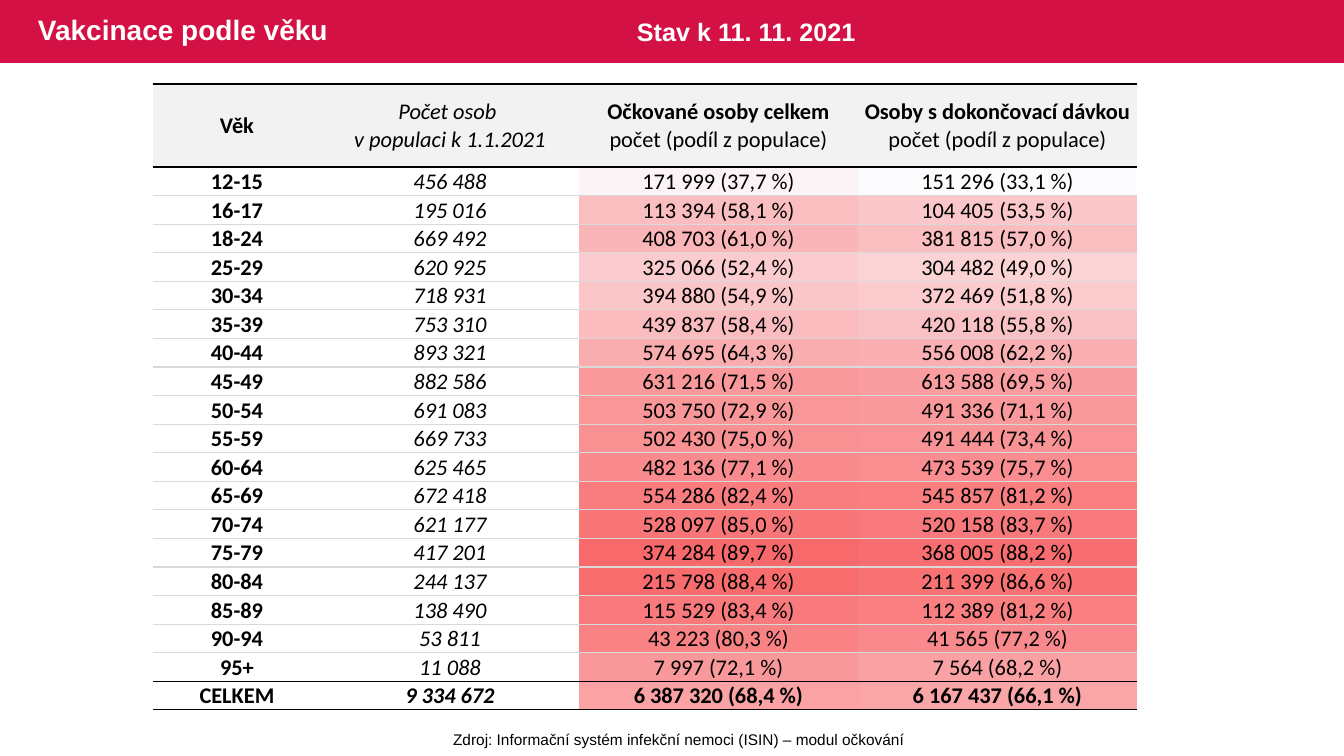
"""Build the slide with vaccination by age as a table over a shaded grid."""
from lxml.etree import SubElement
from pptx import Presentation
from pptx.dml.color import RGBColor
from pptx.enum.shapes import MSO_SHAPE as Shape
from pptx.enum.text import MSO_ANCHOR as Anchor, PP_ALIGN as Align
from pptx.oxml.ns import qn
from pptx.util import Emu, Pt

COLORS = {"band": "D31145", "white": "FFFFFF", "black": "000000",
          "header": "F2F2F2", "rule": "D9D9D9", "low": "FCFCFF", "high": "F8696B"}
TITLE = "Vakcinace podle věku"
STATUS = "Stav k 11. 11. 2021"
SOURCE = "Zdroj: Informační systém infekční nemoci (ISIN) – modul očkování"
HEADER = ["Věk", "Počet osob \nv populaci k 1.1.2021",
          "Očkované osoby celkem\npočet (podíl z populace)",
          "Osoby s dokončovací dávkou\npočet (podíl z populace)"]
ROWS = [
    ("12-15", "456 488", "171 999", 37.7, "151 296", 33.1),
    ("16-17", "195 016", "113 394", 58.1, "104 405", 53.5),
    ("18-24", "669 492", "408 703", 61.0, "381 815", 57.0),
    ("25-29", "620 925", "325 066", 52.4, "304 482", 49.0),
    ("30-34", "718 931", "394 880", 54.9, "372 469", 51.8),
    ("35-39", "753 310", "439 837", 58.4, "420 118", 55.8),
    ("40-44", "893 321", "574 695", 64.3, "556 008", 62.2),
    ("45-49", "882 586", "631 216", 71.5, "613 588", 69.5),
    ("50-54", "691 083", "503 750", 72.9, "491 336", 71.1),
    ("55-59", "669 733", "502 430", 75.0, "491 444", 73.4),
    ("60-64", "625 465", "482 136", 77.1, "473 539", 75.7),
    ("65-69", "672 418", "554 286", 82.4, "545 857", 81.2),
    ("70-74", "621 177", "528 097", 85.0, "520 158", 83.7),
    ("75-79", "417 201", "374 284", 89.7, "368 005", 88.2),
    ("80-84", "244 137", "215 798", 88.4, "211 399", 86.6),
    ("85-89", "138 490", "115 529", 83.4, "112 389", 81.2),
    ("90-94", "53 811", "43 223", 80.3, "41 565", 77.2),
    ("95+", "11 088", "7 997", 72.1, "7 564", 68.2),
    ("CELKEM", "9 334 672", "6 387 320", 68.4, "6 167 437", 66.1),
]
COLUMN_WIDTHS = [168, 258, 279, 279]
TABLE_LEFT, TABLE_TOP, HEADER_HEIGHT, BODY_HEIGHT = 153, 84, 83, 543
ROW_HEIGHTS = [BODY_HEIGHT / len(ROWS)] * len(ROWS)
SCALE_STARTS, SCALE_END = (34.4, 33.1), 89.7


def px(length):
    return Emu(round(length * 914400 / 100.8))


def color(name):
    return RGBColor.from_string(COLORS.get(name, name))


def write(frame, text, size, font="Calibri", ink="black", bold=False, italic=False,
          align=Align.LEFT, anchor=Anchor.TOP, spacing=None, wrap=True):
    frame.word_wrap = wrap
    frame.vertical_anchor = anchor
    for index, line in enumerate(text.split("\n")):
        para = frame.add_paragraph() if index else frame.paragraphs[0]
        para.alignment = align
        para.line_spacing = spacing
        span = para.add_run()
        span.text = line
        span.font.name = font
        span.font.size = Pt(size)
        span.font.bold = bold and index == 0
        span.font.italic = italic
        span.font.color.rgb = color(ink)


def add_text(page, left, top, width, height, text, size, **style):
    box = page.shapes.add_textbox(px(left), px(top), px(width), px(height))
    write(box.text_frame, text, size, font="Arial", **style)


def shade(share, start):
    ratio = (share - start) / (SCALE_END - start)
    pairs = zip(color("low"), color("high"))
    return "".join(f"{round(low + (high - low) * ratio):02X}" for low, high in pairs)


def add_grid(page, left, top, widths, heights):
    frame = page.shapes.add_table(len(heights), len(widths), px(left), px(top),
                                  px(sum(widths)), px(sum(heights)))
    table = frame.table
    table.first_row = table.horz_banding = False
    for column, width in zip(table.columns, widths):
        column.width = px(width)
    for row, height in zip(table.rows, heights):
        row.height = px(height)
    return table


def format_cell(cell, fill=None, top=None, bottom=None):
    cell.margin_left = cell.margin_right = cell.margin_top = px(1)
    cell.margin_bottom = 0
    cell.vertical_anchor = Anchor.MIDDLE
    properties = cell._tc.get_or_add_tcPr()
    for side, ink in (("L", None), ("R", None), ("T", top), ("B", bottom)):
        line = SubElement(properties, qn(f"a:ln{side}"), w=str(Pt(1)))
        if ink:
            solid = SubElement(line, qn("a:solidFill"))
            SubElement(solid, qn("a:srgbClr"), val=COLORS[ink])
        else:
            SubElement(line, qn("a:noFill"))
    if fill:
        cell.fill.solid()
        cell.fill.fore_color.rgb = color(fill)
    else:
        cell.fill.background()


def add_shading(page):
    grid = add_grid(page, TABLE_LEFT + sum(COLUMN_WIDTHS[:2]),
                    TABLE_TOP + HEADER_HEIGHT, COLUMN_WIDTHS[2:], ROW_HEIGHTS)
    for number, row in enumerate(ROWS):
        for index, (share, start) in enumerate(zip(row[3::2], SCALE_STARTS)):
            cell = grid.cell(number, index)
            format_cell(cell, shade(share, start))
            para = cell.text_frame.paragraphs[0]
            SubElement(para._p, qn("a:endParaRPr"), sz="1600")


def add_age_table(page):
    last = len(ROWS)
    table = add_grid(page, TABLE_LEFT, TABLE_TOP, COLUMN_WIDTHS,
                     [HEADER_HEIGHT] + ROW_HEIGHTS)
    lines = [HEADER]
    for age, people, *counts in ROWS:
        labels = [f"{count} ({share:.1f} %)".replace(".", ",")
                  for count, share in zip(counts[::2], counts[1::2])]
        lines.append([age, people] + labels)
    for number, texts in enumerate(lines):
        top = "black" if number in (0, 1, last) else "rule"
        bottom = "black" if number in (0, last - 1, last) else "rule"
        for index, text in enumerate(texts):
            cell = table.cell(number, index)
            bold = index == 0 or number == last or (number == 0 and index > 1)
            write(cell.text_frame, text, 16, align=Align.CENTER,
                  bold=bold, italic=index == 1)
            format_cell(cell, None if number else "header", top, bottom)


def main():
    deck = Presentation()
    deck.slide_width, deck.slide_height = px(1344), px(756)
    page = deck.slides.add_slide(deck.slide_layouts[6])
    band = page.shapes.add_shape(Shape.RECTANGLE, 0, 0, px(1344), px(63))
    band.shadow.inherit = False
    band.fill.solid()
    band.fill.fore_color.rgb = color("band")
    band.line.fill.background()
    add_shading(page)
    add_text(page, 28, 0, 820, 63, TITLE, 20, ink="white", bold=True,
             anchor=Anchor.MIDDLE, spacing=0.9)
    add_text(page, 442, 725, 474, 29, SOURCE, 11, align=Align.CENTER, wrap=False)
    add_age_table(page)
    add_text(page, 627, 11, 261, 40, STATUS, 18, ink="white", bold=True)
    deck.save("out.pptx")


if __name__ == "__main__":
    main()
